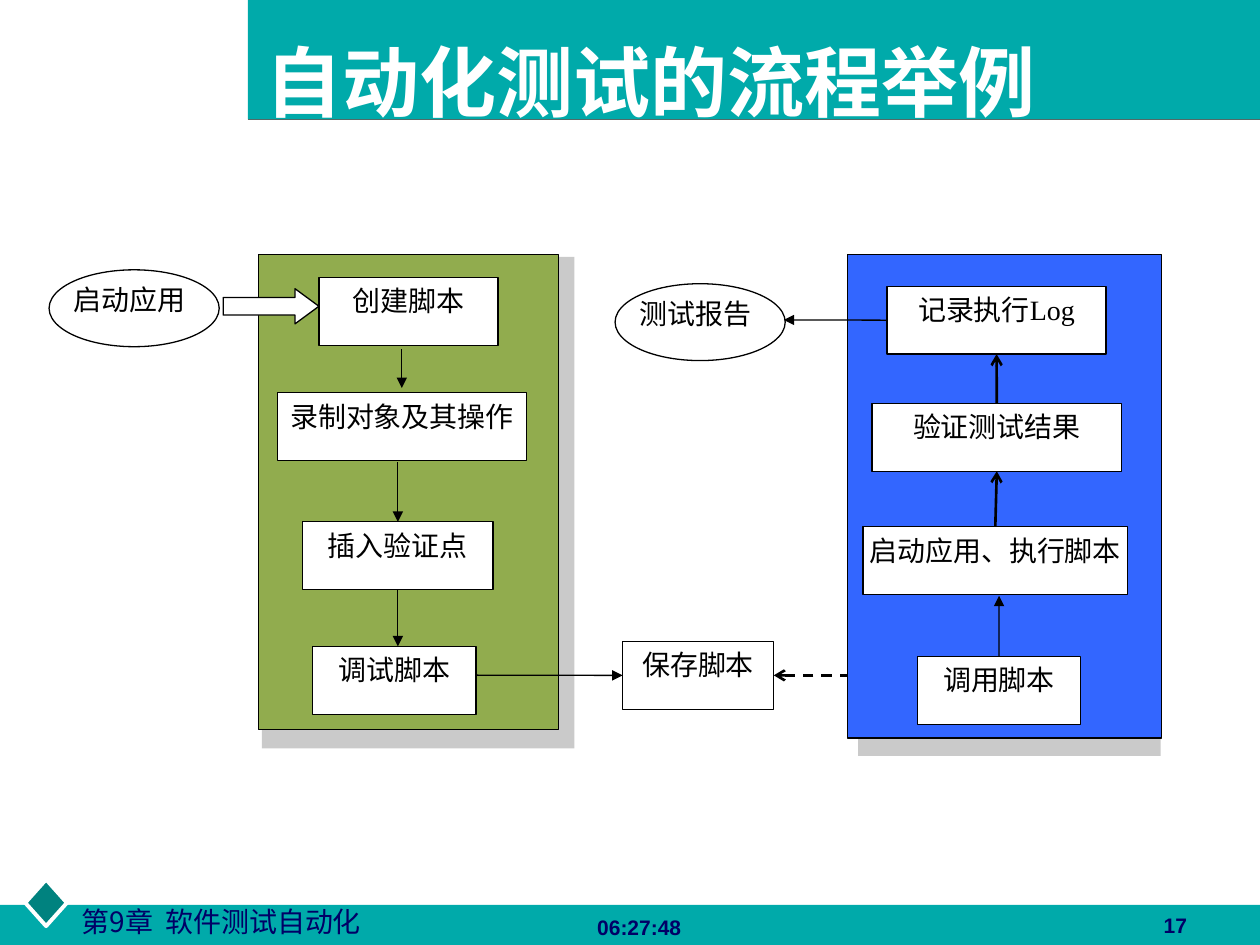
from lxml.etree import SubElement
from pptx import Presentation
from pptx.dml.color import RGBColor
from pptx.enum.dml import MSO_LINE
from pptx.enum.shapes import MSO_CONNECTOR, MSO_SHAPE
from pptx.enum.text import MSO_ANCHOR, PP_ALIGN
from pptx.oxml.ns import qn
from pptx.util import Cm, Pt

COLORS = {
    "teal": "00AAAA", "rule": "526A67", "diamond": "00827F", "navy": "000066",
    "white": "FFFFFF", "black": "000000", "shadow": "969696",
    "green": "91AC4E", "blue": "3366FF",
}
EAST_ASIAN = "Noto Sans CJK SC"
TOP, LEFT, BOTTOM, RIGHT = range(4)
BOX_HEIGHT = 1.37


def color(name):
    return RGBColor.from_string(COLORS[name])


class FlowPage:
    """Holds the drawing style and the current slide; lengths are in cm."""

    def __init__(self, page):
        self.page = page

    def shape(self, kind, place, fill=None, line=None, width=0.75, alpha=None):
        shape = self.page.shapes.add_shape(kind, *map(Cm, place))
        shape.shadow.inherit = False
        if fill:
            shape.fill.solid()
            shape.fill.fore_color.rgb = color(fill)
        else:
            shape.fill.background()
        if alpha:
            tint = shape._element.spPr.find(qn("a:solidFill")).find(qn("a:srgbClr"))
            SubElement(tint, qn("a:alpha"), val=str(alpha * 1000))
        if line:
            shape.line.color.rgb = color(line)
            shape.line.width = Pt(width)
        else:
            shape.line.fill.background()
        return shape

    def add_text(self, box, text, size, font, ink, align, bold=False,
                 anchor=MSO_ANCHOR.TOP, insets=(0.25, 0.13)):
        frame = box.text_frame
        frame.word_wrap = True
        frame.vertical_anchor = anchor
        frame.margin_left = frame.margin_right = Cm(insets[0])
        frame.margin_top = frame.margin_bottom = Cm(insets[1])
        para = frame.paragraphs[0]
        para.alignment = align
        span = para.add_run()
        span.text = text
        span.font.size = Pt(size)
        span.font.bold = bold
        span.font.color.rgb = color(ink)
        span.font.name = font
        SubElement(span._r.get_or_add_rPr(), qn("a:ea"), typeface=EAST_ASIAN)

    def label(self, place, text, size, font, ink, align=PP_ALIGN.LEFT, **style):
        box = self.page.shapes.add_textbox(*map(Cm, place))
        self.add_text(box, text, size, font, ink, align, **style)

    def step(self, left, top, width, text):
        box = self.shape(MSO_SHAPE.RECTANGLE, (left, top, width, BOX_HEIGHT),
                         "white", "black")
        self.add_text(box, text, 16, "Times New Roman", "black",
                      PP_ALIGN.CENTER, insets=(0.08, 0.13))
        return box

    def terminal(self, left, top, text):
        oval = self.shape(MSO_SHAPE.OVAL, (left, top, 3.43, 1.55), line="black")
        self.add_text(oval, text, 16, "Times New Roman", "black",
                      PP_ALIGN.JUSTIFY, insets=(0, 0.03))

    def panel(self, place, shadow_place, fill):
        self.shape(MSO_SHAPE.RECTANGLE, shadow_place, "shadow", alpha=50)
        self.shape(MSO_SHAPE.RECTANGLE, place, fill, "black")

    def connector(self, start, end, head="triangle", width=0.75, ink="black",
                  kind=MSO_CONNECTOR.STRAIGHT, dash=None):
        """Each end is an (x, y) point or a (box, side) pair."""
        begin_joined, end_joined = (not isinstance(p[0], (int, float))
                                    for p in (start, end))
        points = ((0, 0) if begin_joined else start) + ((0, 0) if end_joined else end)
        link = self.page.shapes.add_connector(kind, *map(Cm, points))
        if begin_joined:
            link.begin_connect(*start)
        if end_joined:
            link.end_connect(*end)
        link.line.color.rgb = color(ink)
        link.line.width = Pt(width)
        if dash:
            link.line.dash_style = dash
        properties = link._element.spPr
        if head:
            SubElement(properties.find(qn("a:ln")), qn("a:tailEnd"), type=head)
        SubElement(properties, qn("a:effectLst"))
        return link


def main():
    deck = Presentation()
    deck.slide_width, deck.slide_height = Cm(25.4), Cm(19.05)
    flow = FlowPage(deck.slides.add_slide(deck.slide_layouts[6]))

    # Title band and footer
    flow.shape(MSO_SHAPE.RECTANGLE, (0, 18.24, 25.4, 0.81), "teal")
    flow.shape(MSO_SHAPE.RECTANGLE, (5, 0, 20.4, 2.41), "teal")
    flow.connector((5, 2.41), (25.4, 2.41), head=None, ink="rule")
    flow.label((1.4, 18.11, 8.61, 0.94), "第9章  软件测试自动化", 16,
               EAST_ASIAN, "navy")
    flow.shape(MSO_SHAPE.DIAMOND, (0.51, 17.73, 0.84, 0.94), "diamond",
               "white", 2.25)
    flow.label((18.9, 18.26, 5.28, 1.27), "17", 12, "Arial", "navy",
               PP_ALIGN.RIGHT, bold=True)
    flow.label((11.79, 18.31, 5.92, 1.32), "06:27:48", 12, "Arial", "navy",
               bold=True)
    flow.label((5.11, 0.51, 20.02, 2.24), "自动化测试的流程举例", 44, "Arial",
               "white", bold=True, anchor=MSO_ANCHOR.MIDDLE)

    # Dashed link that runs behind the execution panel
    reuse = flow.connector((18.77, 13.84), (15.6, 13.61), "arrow", 1.5,
                           kind=MSO_CONNECTOR.ELBOW, dash=MSO_LINE.DASH)

    # Execution panel
    flow.panel((17.09, 5.13, 6.32, 9.75), (17.3, 5.23, 6.1, 10.01), "blue")
    log = flow.step(17.88, 5.77, 4.42, "记录执行Log")
    verify = flow.step(17.58, 8.13, 5.03, "验证测试结果")
    launch = flow.step(17.4, 10.62, 5.33, "启动应用、执行脚本")
    call = flow.step(18.49, 13.23, 3.3, "调用脚本")
    for lower, upper in ((launch, verify), (verify, log)):
        flow.connector((lower, TOP), (upper, BOTTOM), "arrow", 1.5)

    # Recording panel
    flow.panel((5.21, 5.13, 6.05, 9.58), (5.28, 5.18, 6.3, 9.91), "green")
    flow.step(6.43, 5.59, 3.61, "创建脚本")
    flow.step(5.59, 7.92, 5.03, "录制对象及其操作")
    insert = flow.step(6.1, 10.52, 3.84, "插入验证点")
    flow.step(6.3, 13.03, 3.3, "调试脚本")

    # Start and report
    arrow = flow.shape(MSO_SHAPE.RIGHT_ARROW, (4.5, 5.82, 1.93, 0.71),
                       "white", "black")
    arrow.adjustments[1] = 0.68
    flow.terminal(0.99, 5.44, "启动应用")
    flow.terminal(12.4, 5.72, "测试报告")

    # Saved script and thin arrows
    save = flow.step(12.55, 12.93, 3.05, "保存脚本")
    reuse.end_connect(save, RIGHT)
    for start, end in (
        ((8.1, 7.04), (8.1, 7.82)),
        ((8.02, 9.32), (insert, TOP)),
        ((insert, BOTTOM), (8.02, 13.03)),
        ((log, LEFT), (15.8, 6.45)),
        ((call, TOP), (20.14, 12.01)),
        ((9.6, 13.61), (save, LEFT)),
    ):
        flow.connector(start, end)

    deck.save("out.pptx")


if __name__ == "__main__":
    main()
